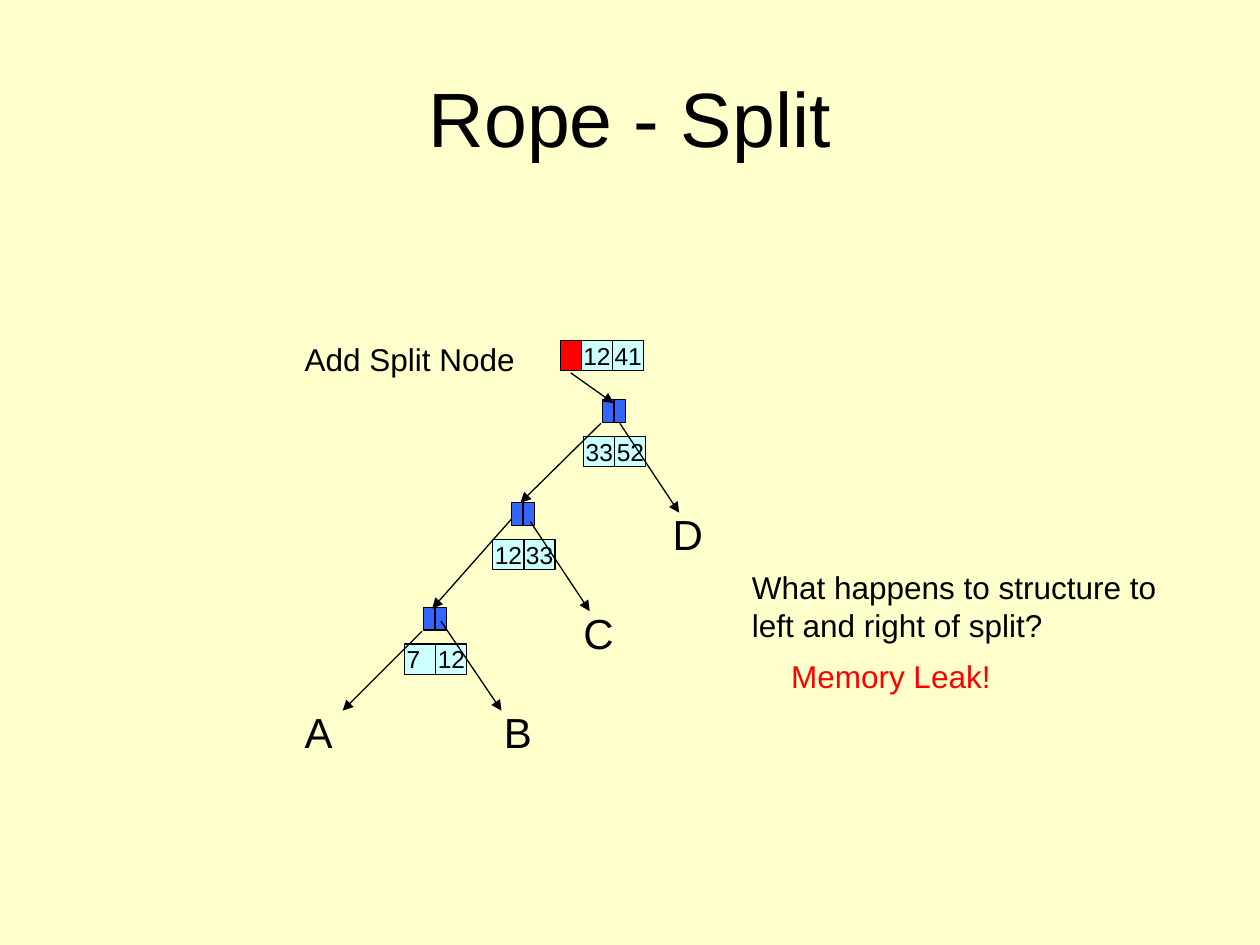
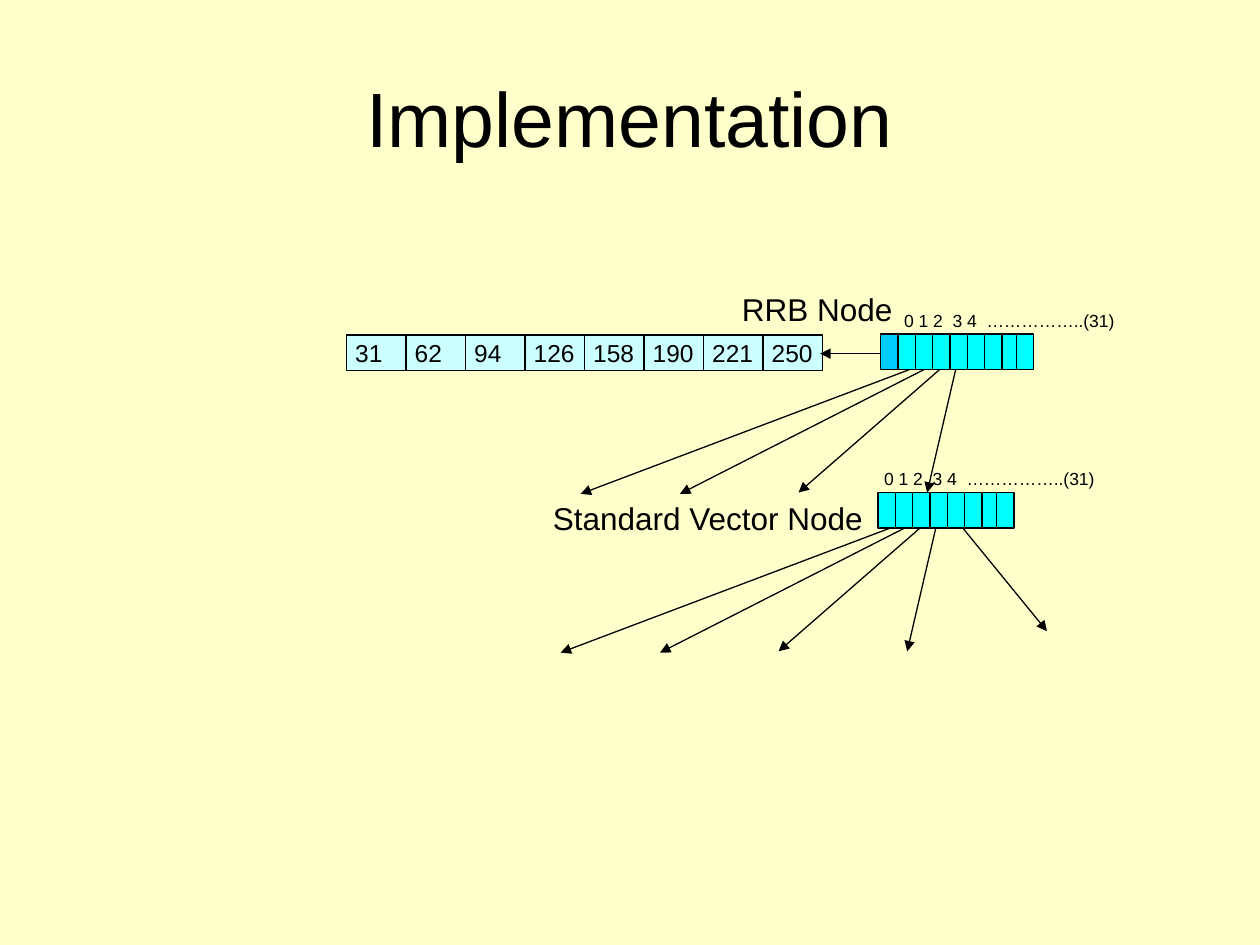
import dataclasses

import pptx
import pptx.dml.color
import pptx.enum.shapes
import pptx.enum.text
import pptx.oxml.ns
import pptx.util
from lxml import etree

Pt = pptx.util.Pt


@dataclasses.dataclass(frozen=True)
class Theme:
    font: str = "Arial"
    background: str = "FFFFCC"
    ink: str = "000000"
    alert: str = "FF0000"
    link_cell: str = "3366FF"
    range_cell: str = "CCFFFF"
    slot: str = "00FFFF"
    size_slot: str = "00CCFF"
    title_size: float = 44
    leaf_size: float = 24
    note_size: float = 18
    number_size: float = 14
    index_size: float = 10
    line_width: float = 0.75


THEME = Theme()

# Rope tree: left and top of each link node, with the range it covers
ROPE_TITLE = "Rope - Split"
ROPE_NODES = [
    ((242, 347), ("7", "12")),
    ((292.4, 287.2), ("12", "33")),
    ((344.3, 228.4), ("33", "52")),
]
LINK_CELL = (6.5, 13)
RANGE_CELL = (17.8, 17.3)
RANGE_OFFSET = (-10.8, 21)
SPLIT_RANGE = ("12", "41")
SPLIT_CELL = (320.4, 194.6, 11.8, 17.3)
ROPE_ARROWS = [
    ((343.4, 241.9), (297.4, 287.3)),
    ((292.3, 296.6), (247, 347.8)),
    ((241.2, 360.7), (195.8, 406.1)),
    ((252, 355), (286.6, 406.1)),
    ((303.1, 298.1), (337, 349.2)),
    ((354.2, 241.9), (388.1, 293)),
    ((326.2, 213.1), (350.6, 230.4)),
]
LEAVES = [("A", 167, 400.3), ("B", 280.8, 400.3), ("C", 326.2, 343.4), ("D", 377.3, 287.3)]
ROPE_NOTES = [
    ("Add Split Node", (167, 190.8, 141.8, 28.8), THEME.ink),
    ("What happens to structure to left and right of split?", (422.6, 321.1, 254.9, 50.4), THEME.ink),
    ("Memory Leak!", (445, 372.2, 153.4, 28.8), THEME.alert),
]

# Vector nodes: arrows are relative to the left and top of slot 0
VECTOR_TITLE = "Implementation"
SIZES = ("31", "62", "94", "126", "158", "190", "221", "250")
SIZES_ORIGIN = (198, 191.4)
SIZE_CELL = (34, 20.2)
SIZES_ARROW = ((502.6, 202.1), (468.7, 202.1))
INDEX_TEXT = "0 1 2  3 4  ……………..(31)"
INDEX_BOX = (-3.6, -17.3, 139.7, 19.4)
SLOT_CELL = (9.9, 20.2)
SLOT_OFFSETS = [9.9 * index for index in range(7)] + [67.7]
CHILD_ARROWS = [
    ((16.6, 16.6), (-181.4, 91.4)),
    ((22.3, 16.6), (-124.6, 91.4)),
    ((28.1, 16.6), (-56.9, 90.7)),
    ((33.8, 16.6), (16.6, 90.7)),
]
LAST_CHILD_ARROW = ((45.4, 16.6), (96.5, 79.2))
RRB_NODE = (513.2, 190.8)
STANDARD_NODE = (501.8, 281.5)
VECTOR_NOTES = [
    ("RRB Node", (416.9, 162, 130.3, 28.8)),
    ("Standard Vector Node", (308.9, 281.5, 198.7, 28.8)),
]


def color(value):
    return pptx.dml.color.RGBColor.from_string(value)


def write(shape, text, size, text_color=THEME.ink, align=pptx.enum.text.PP_ALIGN.LEFT):
    shape.text_frame.text = text
    shape.text_frame.word_wrap = True
    for paragraph in shape.text_frame.paragraphs:
        paragraph.alignment = align
        for run in paragraph.runs:
            run.font.name = THEME.font
            run.font.size = Pt(size)
            run.font.color.rgb = color(text_color)


def add_text(slide, text, box, size, text_color=THEME.ink):
    shape = slide.shapes.add_textbox(*map(Pt, box))
    write(shape, text, size, text_color)
    return shape


def add_cell(slide, box, fill, text="", inset=0):
    cell = slide.shapes.add_shape(pptx.enum.shapes.MSO_SHAPE.RECTANGLE, *map(Pt, box))
    cell.shadow.inherit = False
    cell.fill.solid()
    cell.fill.fore_color.rgb = color(fill)
    cell.line.color.rgb = color(THEME.ink)
    cell.line.width = Pt(THEME.line_width)
    if text:
        frame = cell.text_frame
        frame.margin_left = Pt(inset)
        frame.margin_right = frame.margin_top = frame.margin_bottom = 0
        frame.vertical_anchor = pptx.enum.text.MSO_ANCHOR.MIDDLE
        write(cell, text, THEME.number_size)


def add_row(slide, left, top, cell_size, labels, fill, inset=0):
    """Place equal cells side by side, one for each label."""
    width, height = cell_size
    for index, label in enumerate(labels):
        add_cell(slide, (left + index * width, top, width, height), fill, label, inset)


def add_arrow(slide, start, end, origin=(0, 0)):
    points = [Pt(value + shift) for point in (start, end) for value, shift in zip(point, origin)]
    arrow = slide.shapes.add_connector(pptx.enum.shapes.MSO_CONNECTOR.STRAIGHT, *points)
    arrow.line.color.rgb = color(THEME.ink)
    arrow.line.width = Pt(THEME.line_width)
    qn = pptx.oxml.ns.qn
    etree.SubElement(arrow.line._get_or_add_ln(), qn("a:tailEnd"), type="triangle")
    etree.SubElement(arrow._element.spPr, qn("a:effectLst"))


def add_slide(presentation, title):
    slide = presentation.slides.add_slide(presentation.slide_layouts[6])
    slide.background.fill.solid()
    slide.background.fill.fore_color.rgb = color(THEME.background)
    heading = slide.shapes.add_textbox(Pt(36), Pt(21.6), Pt(648), Pt(90))
    heading.text_frame.vertical_anchor = pptx.enum.text.MSO_ANCHOR.MIDDLE
    write(heading, title, THEME.title_size, align=pptx.enum.text.PP_ALIGN.CENTER)
    return slide


def add_range(slide, left, top, labels):
    add_row(slide, left, top, RANGE_CELL, labels, THEME.range_cell, inset=1.2)


def build_rope_slide(presentation):
    slide = add_slide(presentation, ROPE_TITLE)
    for (left, top), labels in ROPE_NODES:
        add_row(slide, left, top, LINK_CELL, ("", ""), THEME.link_cell)
        add_range(slide, left + RANGE_OFFSET[0], top + RANGE_OFFSET[1], labels)
    add_cell(slide, SPLIT_CELL, THEME.alert)
    left, top, width, _ = SPLIT_CELL
    add_range(slide, left + width, top, SPLIT_RANGE)
    for start, end in ROPE_ARROWS:
        add_arrow(slide, start, end)
    for name, left, top in LEAVES:
        add_text(slide, name, (left, top, 56.9, 36), THEME.leaf_size)
    for text, box, text_color in ROPE_NOTES:
        add_text(slide, text, box, THEME.note_size, text_color)


def add_vector_node(slide, origin, arrows):
    left, top = origin
    for start, end in arrows:
        add_arrow(slide, start, end, origin)
    for offset in SLOT_OFFSETS:
        add_cell(slide, (left + offset, top, *SLOT_CELL), THEME.slot)
    x, y, width, height = INDEX_BOX
    add_text(slide, INDEX_TEXT, (left + x, top + y, width, height), THEME.index_size)


def build_vector_slide(presentation):
    slide = add_slide(presentation, VECTOR_TITLE)
    add_vector_node(slide, RRB_NODE, CHILD_ARROWS)
    add_row(slide, *SIZES_ORIGIN, SIZE_CELL, SIZES, THEME.range_cell, inset=5)
    left, top = RRB_NODE
    add_cell(slide, (left - SLOT_CELL[0], top, *SLOT_CELL), THEME.size_slot)
    add_arrow(slide, *SIZES_ARROW)
    add_vector_node(slide, STANDARD_NODE, CHILD_ARROWS + [LAST_CHILD_ARROW])
    for text, box in VECTOR_NOTES:
        add_text(slide, text, box, THEME.note_size)


def main():
    presentation = pptx.Presentation()
    presentation.slide_width = Pt(720)
    presentation.slide_height = Pt(540)
    build_rope_slide(presentation)
    build_vector_slide(presentation)
    presentation.save("out.pptx")


if __name__ == "__main__":
    main()
